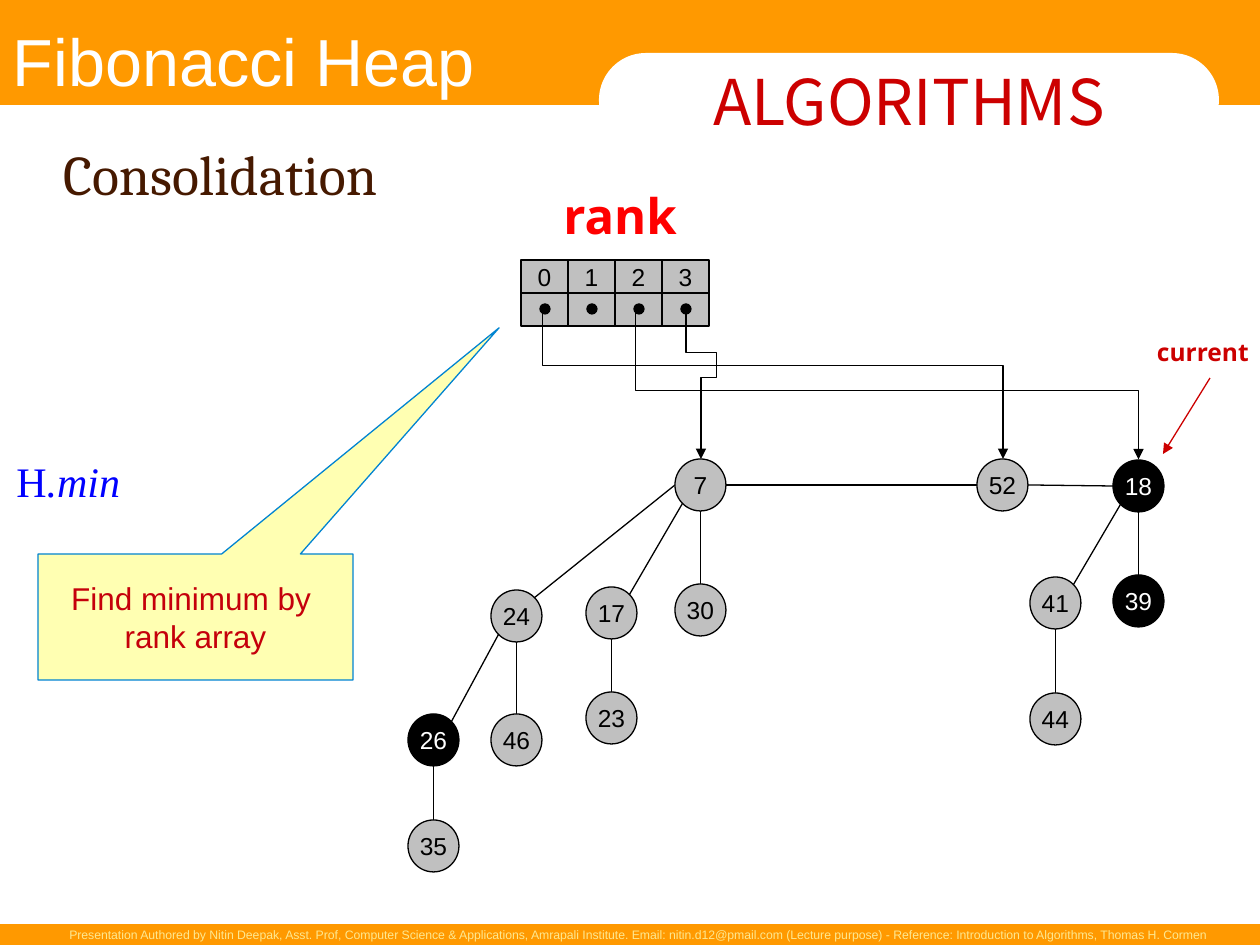
from dataclasses import dataclass
from typing import NamedTuple

from lxml import etree
from pptx import Presentation
from pptx.dml import color as clr
from pptx.enum import shapes as sh, text as tx
from pptx.oxml import ns
from pptx.util import Pt

SCALE = 914400 / 126
KIND = sh.MSO_SHAPE
LEFT, MID, RIGHT = tx.PP_ALIGN.LEFT, tx.PP_ALIGN.CENTER, tx.PP_ALIGN.RIGHT
TOP, CENTER = tx.MSO_ANCHOR.TOP, tx.MSO_ANCHOR.MIDDLE


@dataclass(frozen=True)
class Theme:
    orange: str = "FF9900"
    white: str = "FFFFFF"
    black: str = "000000"
    gray: str = "C0C0C0"
    red: str = "CC0000"
    bright: str = "FF0000"
    crimson: str = "C5000B"
    brown: str = "461900"
    blue: str = "0000FF"
    cream: str = "FDE891"
    yellow: str = "FFFF66"
    edge: str = "0084D1"
    sans: str = "Arial"
    tiny: int = 7
    small: int = 14
    note: int = 18
    body: int = 24
    label: int = 28
    title: int = 32
    brand: int = 36
    head: int = 38
    line: float = 0.75


T = Theme()


class Box(NamedTuple):
    x: int
    y: int
    w: int
    h: int


class Node(NamedTuple):
    key: int
    x: int
    y: int
    dark: bool = False

    def site(self, name: str) -> tuple[float, float]:
        fx, fy = SITES[name]
        return self.x + fx * SIZE[0], self.y + fy * SIZE[1]


class Edge(NamedTuple):
    start: int
    end: int
    out: str = "bottom"
    into: str = "top"


class Bend(NamedTuple):
    kind: str
    box: Box
    guides: tuple[int, ...]
    turned: bool = True


SIZE = (51, 52)
SITES = {"top": (0.5, 0), "bottom": (0.5, 1), "left": (0, 0.5), "right": (1, 0.5),
         "low": (0.15, 0.85), "high": (0.85, 0.15)}

NODES = [
    Node(7, 675, 459), Node(52, 977, 459), Node(18, 1113, 460, True),
    Node(24, 491, 590), Node(17, 586, 587), Node(30, 675, 584),
    Node(41, 1030, 577), Node(39, 1113, 575, True),
    Node(26, 408, 714, True), Node(46, 491, 714), Node(23, 586, 692),
    Node(44, 1030, 693), Node(35, 408, 820),
]
EDGES = [
    Edge(7, 52, "right", "left"), Edge(52, 18, "right", "left"),
    Edge(7, 24, "left", "high"), Edge(7, 17, "low", "high"), Edge(7, 30),
    Edge(18, 41, "low", "high"), Edge(18, 39),
    Edge(24, 26, "low", "high"), Edge(24, 46),
    Edge(17, 23), Edge(26, 35), Edge(41, 44),
]
BENDS = [
    Bend("bentConnector4", Box(541, 309, 462, 150), (300, 37500), False),
    Bend("bentConnector3", Box(810, 131, 154, 503), (55100,)),
    Bend("bentConnector5", Box(616, 374, 155, 15), (31300, 203300, 47600)),
]


def emu(*px: float) -> list[int]:
    return [round(n * SCALE) for n in px]


def rgb(code: str) -> clr.RGBColor:
    return clr.RGBColor.from_string(code)


def add(root, tag: str, **attrs: str):
    return etree.SubElement(root, ns.qn(tag), attrs)


def style(font, color: str, **form) -> None:
    for key, val in form.items():
        setattr(font, key, Pt(val) if key == "size" else val)
    font.color.rgb = rgb(color)


def write(shape, words: str, color: str, size: float, name: str = T.sans, align=MID,
          anchor=CENTER, wrap: bool = False, pad: bool = True, **form) -> None:
    frame = shape.text_frame
    frame.text = words
    layout = {"word_wrap": wrap, "vertical_anchor": anchor}
    if not pad:
        layout |= dict.fromkeys(("margin_left", "margin_right", "margin_top", "margin_bottom"), 0)
    for key, val in layout.items():
        setattr(frame, key, val)
    for para in frame.paragraphs:
        para.alignment = align
        for run in para.runs:
            style(run.font, color, size=size, name=name, **form)


def label(slide, box: Box, words: str, color: str, size: float, **form):
    shape = slide.shapes.add_textbox(*emu(*box))
    write(shape, words, color, size, **form)
    return shape


def draw(shapes, kind, box: Box, fill: str | None, line: str | None = None):
    shape = shapes.add_shape(kind, *emu(*box))
    shape.shadow.inherit = False
    for part, color in ((shape.fill, fill), (shape.line.fill, line)):
        if color:
            part.solid()
            part.fore_color.rgb = rgb(color)
        else:
            part.background()
    if line:
        shape.line.width = Pt(T.line)
    return shape


def join(slide, start, end, color: str = T.black, arrow: bool = False, elbow: bool = False):
    kind = sh.MSO_CONNECTOR.ELBOW if elbow else sh.MSO_CONNECTOR.STRAIGHT
    link = slide.shapes.add_connector(kind, *emu(*start, *end))
    link.line.color.rgb = rgb(color)
    link.line.width = Pt(T.line)
    props = link._element.spPr
    if arrow:
        add(props.find(ns.qn("a:ln")), "a:tailEnd", type="triangle")
    add(props, "a:effectLst")
    return link


def route(slide, bend: Bend) -> None:
    x, y, w, h = bend.box
    props = join(slide, (x, y), (x + w, y + h), arrow=True, elbow=True)._element.spPr
    if bend.turned:
        for key, val in {"rot": "16200000", "flipH": "1"}.items():
            props.find(ns.qn("a:xfrm")).set(key, val)
    shape = props.find(ns.qn("a:prstGeom"))
    shape.set("prst", bend.kind)
    guides = shape.find(ns.qn("a:avLst"))
    if guides is None:
        guides = add(shape, "a:avLst")
    for i, val in enumerate(bend.guides, 1):
        add(guides, "a:gd", name=f"adj{i}", fmla=f"val {val}")


def frame(slide) -> None:
    draw(slide.shapes, KIND.RECTANGLE, Box(0, 0, 1260, 105), T.orange)
    tab = draw(slide.shapes, KIND.ROUNDED_RECTANGLE, Box(599, 53, 620, 94), T.white)
    tab.adjustments[0] = 0.5
    write(tab, "ALGORITHMS", T.red, T.brand, name="Noto Sans CJK KR")
    draw(slide.shapes, KIND.RECTANGLE, Box(0, 924, 1260, 21), T.orange)
    label(slide, Box(53, 921, 1166, 28),
          "Presentation Authored by Nitin Deepak, Asst. Prof, Computer Science & Applications, "
          "Amrapali Institute. Email: nitin.d12@pmail.com (Lecture purpose) - Reference: "
          "Introduction to Algorithms, Thomas H. Cormen",
          T.cream, T.tiny, align=RIGHT, anchor=TOP)
    label(slide, Box(13, 13, 529, 93), "Fibonacci Heap", T.white, T.head,
          align=LEFT, wrap=True, pad=False)
    title = slide.shapes.title
    title.left, title.top, title.width, title.height = emu(63, 127, 1133, 93)
    write(title, "Consolidation", T.brown, T.title, name="Cambria",
          align=LEFT, wrap=True, pad=False)


def heap(slide) -> None:
    nodes = {node.key: node for node in NODES}
    for edge in EDGES:
        join(slide, nodes[edge.start].site(edge.out), nodes[edge.end].site(edge.into))
    for node in NODES:
        fill, ink = (T.black, T.white) if node.dark else (T.gray, T.black)
        ball = draw(slide.shapes, KIND.OVAL, Box(node.x, node.y, *SIZE), fill, T.black)
        write(ball, str(node.key), ink, T.small)


def ranks(slide) -> None:
    label(slide, Box(551, 179, 144, 72), "rank", T.bright, T.label,
          name="Noto Sans", align=LEFT, anchor=TOP, bold=True)
    heads, slots = (slide.shapes.add_group_shape() for _ in range(2))
    for i in range(4):
        x = 521 + 47 * i
        cell = draw(heads.shapes, KIND.RECTANGLE, Box(x, 260, 47, 33), T.gray, T.black)
        write(cell, str(i), T.black, T.small)
        draw(slots.shapes, KIND.RECTANGLE, Box(x, 293, 47, 33), T.gray, T.black)
        draw(slide.shapes, KIND.OVAL, Box(x + 19, 304, 10, 10), T.black, T.black)
    for bend in BENDS:
        route(slide, bend)


def notes(slide) -> None:
    least = label(slide, Box(4, 449, 129, 63), "H", T.blue, T.body,
                  name="Times New Roman", align=LEFT, anchor=TOP)
    run = least.text_frame.paragraphs[0].add_run()
    run.text = ".min"
    style(run.font, T.blue, size=T.body, name="Times New Roman", italic=True)
    now = draw(slide.shapes, KIND.OVAL, Box(1159, 326, 88, 52), None)
    write(now, "current", T.red, T.small, name="Noto Sans", bold=True)
    join(slide, (1210, 378), (1163, 454), T.red, arrow=True)
    call = draw(slide.shapes, KIND.RECTANGULAR_CALLOUT, Box(38, 554, 315, 126), T.yellow, T.edge)
    call.adjustments[0], call.adjustments[1] = 0.964, -2.295
    add(call._element.spPr.find(ns.qn("a:solidFill"))[0], "a:alpha", val="50000")
    write(call, "Find minimum by \vrank array", T.crimson, T.note)


def main() -> None:
    deck = Presentation()
    deck.slide_width, deck.slide_height = emu(1260, 945)
    slide = deck.slides.add_slide(deck.slide_layouts[5])
    for part in (frame, heap, ranks, notes):
        part(slide)
    deck.save("out.pptx")


if __name__ == "__main__":
    main()
